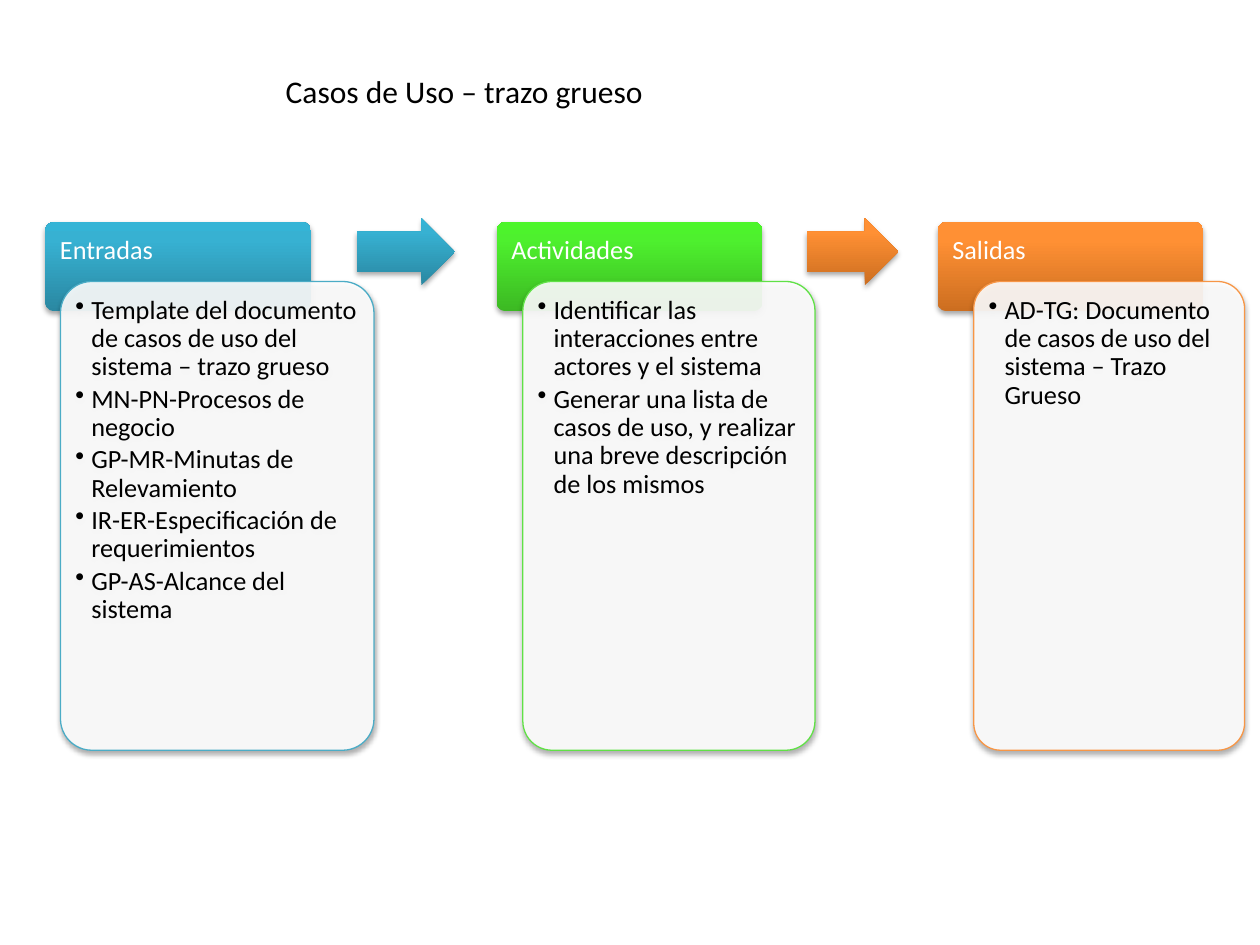
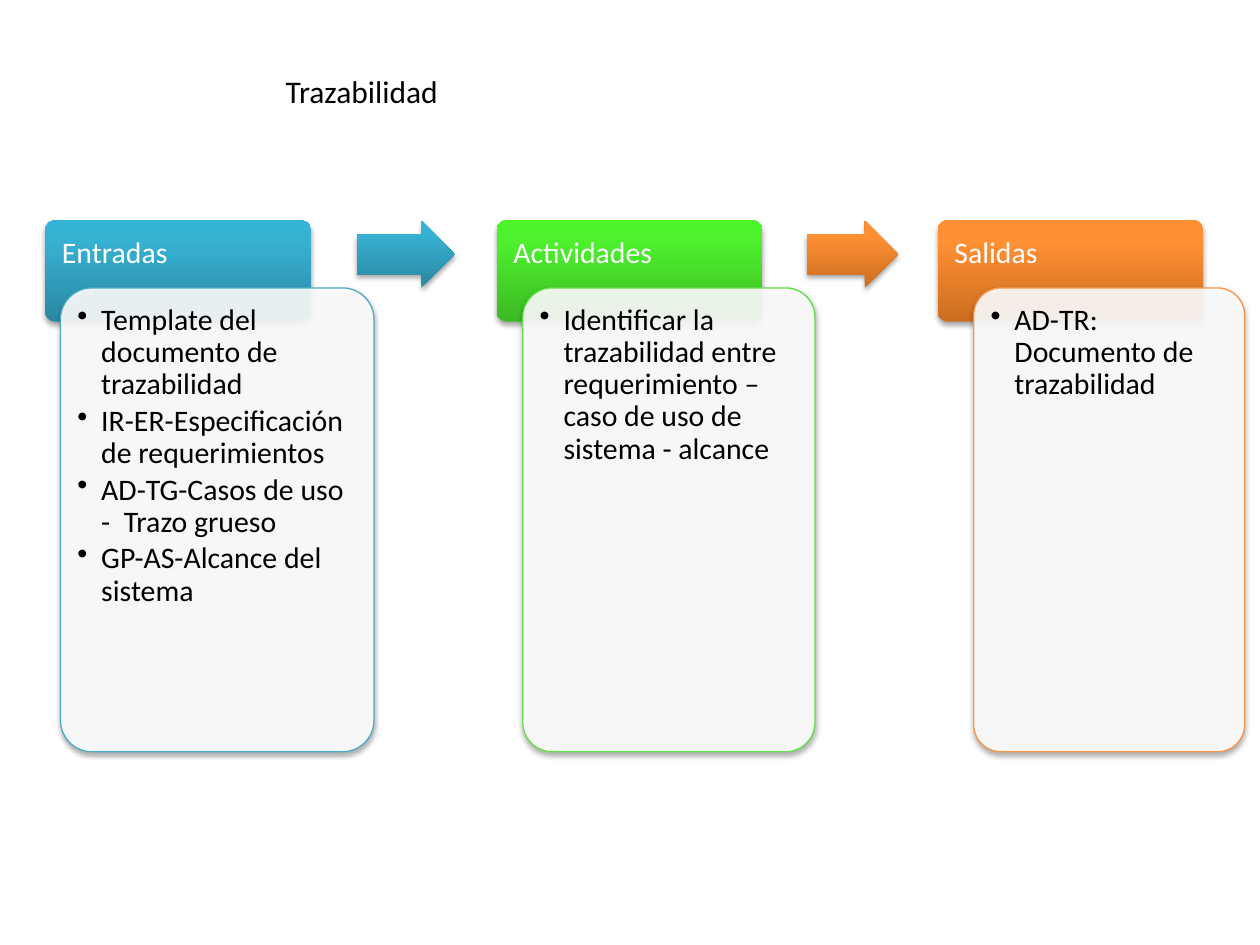
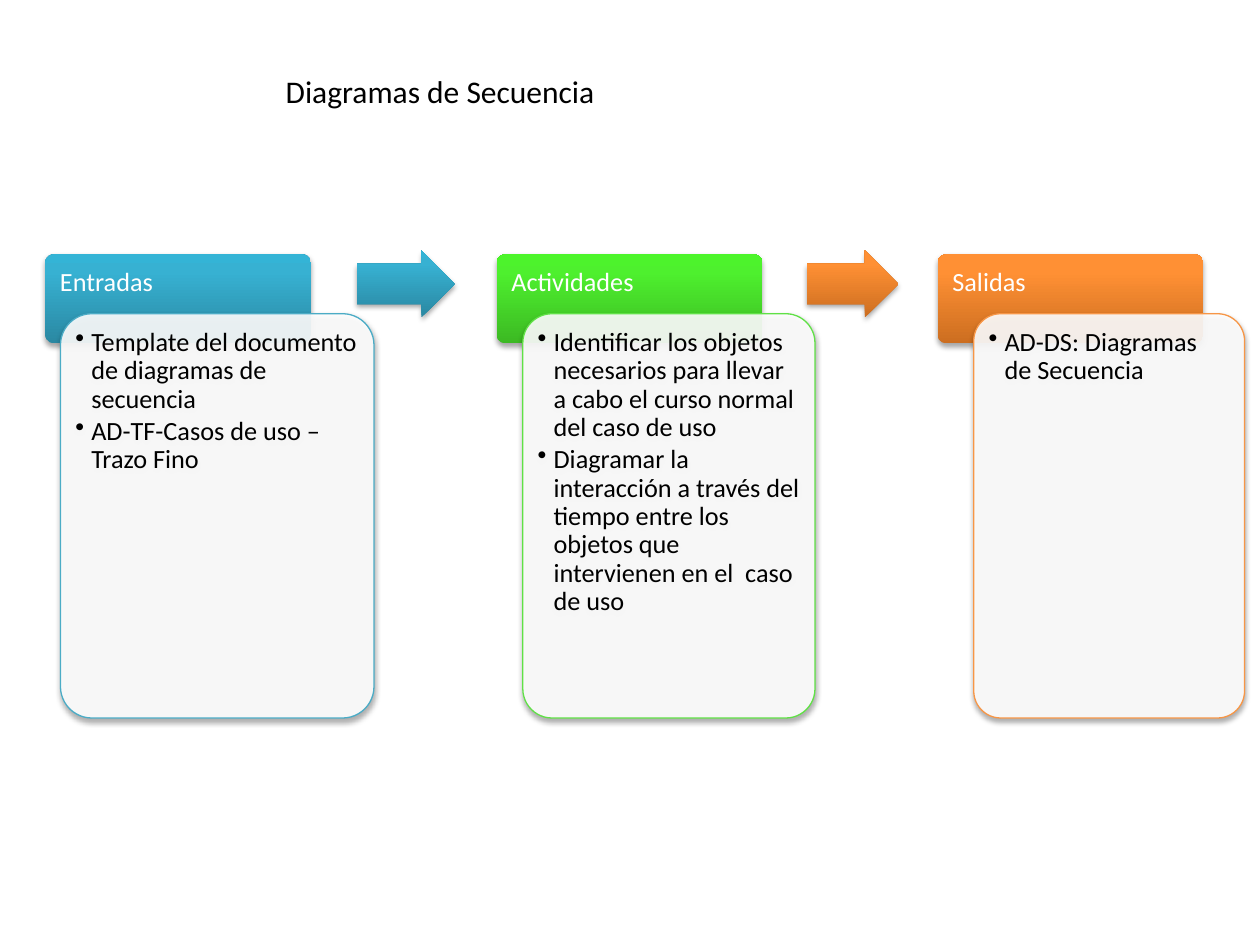
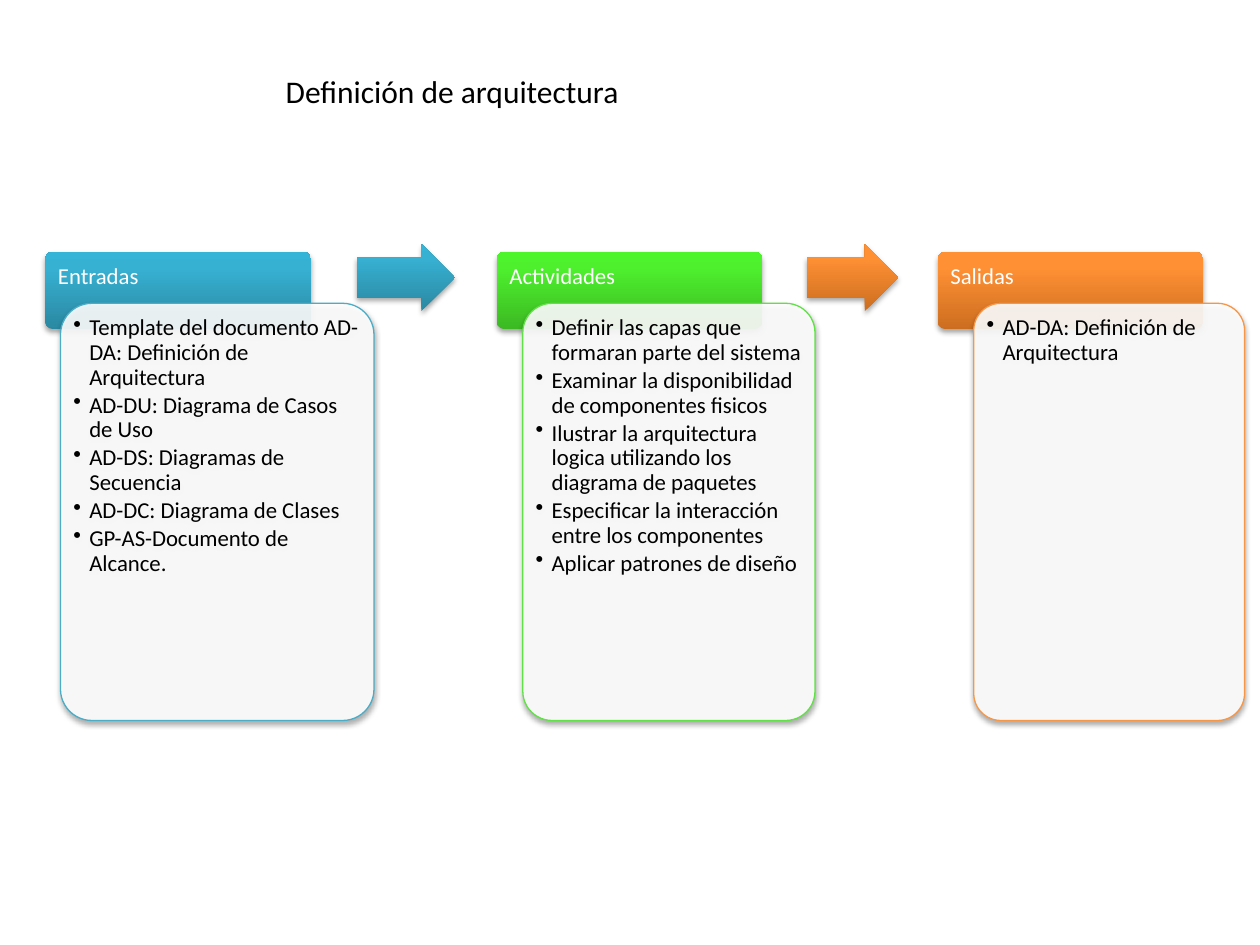
from copy import deepcopy

from lxml import etree
from pptx import Presentation
from pptx import util as u
from pptx.dml.color import RGBColor
from pptx.enum import shapes, text
from pptx.oxml.ns import qn

FONT = "Calibri"
COLORS = {"text": "000000", "heading": "FFFFFF", "panel": "FFFFFF", "shadow": "000000"}
STAGE_COLORS = {
    "Entradas": {"gradient": ("2A88A2", "37B1D2", "34B4D6"), "border": "4BACC6"},
    "Actividades": {"gradient": ("3CB923", "4EF02E", "4CF52A"), "border": "60E146"},
    "Salidas": {"gradient": ("CC6E20", "FF9034", "FF9136"), "border": "F79646"},
}
GRADIENT_POSITIONS = (0, 0.8, 1)

# Horizontal layout in cm: heading left, then (left, width) of panel and leading arrow
STAGE_LAYOUT = {
    "Entradas": {"heading": 0.91, "panel": (1.22, 6.32)},
    "Actividades": {"heading": 10.01, "panel": (10.54, 5.89)},
    "Salidas": {"heading": 18.9, "panel": (19.63, 5.46)},
}
# Each arrow follows a stage and wears the gradient of the named one
ARROWS = {"Entradas": (7.19, 1.98, "Entradas"), "Actividades": (16.26, 1.85, "Salidas")}
HEADING_WIDTH = 5.36
ARROW_HEIGHT = 1.35
DIAGRAM_MIDDLE = 9.8
CORNER = 0.1

PROCESSES = [
    {
        "title": "Casos de Uso – trazo grueso", "size": 15, "panel_height": 9.45, "indent": 0.32,
        "Entradas": [
            "Template del documento de casos de uso del sistema – trazo grueso",
            "MN-PN-Procesos de negocio",
            "GP-MR-Minutas de Relevamiento",
            "IR-ER-Especificación de requerimientos",
            "GP-AS-Alcance del sistema",
        ],
        "Actividades": [
            "Identificar las interacciones entre actores y el sistema",
            "Generar una lista de casos de uso, y realizar una breve descripción de los mismos",
        ],
        "Salidas": ["AD-TG: Documento de casos de uso del sistema – Trazo Grueso"],
    },
    {
        "title": "Trazabilidad", "size": 17, "panel_height": 9.35, "indent": 0.48,
        "Entradas": [
            "Template del documento de trazabilidad",
            "IR-ER-Especificación de requerimientos",
            "AD-TG-Casos de uso -  Trazo grueso",
            "GP-AS-Alcance del sistema",
        ],
        "Actividades": [
            "Identificar la trazabilidad entre requerimiento – caso de uso de sistema - alcance",
        ],
        "Salidas": ["AD-TR: Documento de trazabilidad"],
    },
    {
        "title": "Diagramas de Secuencia", "size": 15, "panel_height": 8.15, "indent": 0.32,
        "Entradas": [
            "Template del documento de diagramas de secuencia",
            "AD-TF-Casos de uso – Trazo Fino",
        ],
        "Actividades": [
            "Identificar los objetos necesarios para llevar a cabo el curso normal del caso de uso",
            "Diagramar la interacción a través del tiempo entre los objetos que "
            "intervienen en el  caso de uso",
        ],
        "Salidas": ["AD-DS: Diagramas de Secuencia"],
    },
    {
        "title": "Definición de arquitectura", "size": 13, "panel_height": 8.41, "indent": 0.32,
        "Entradas": [
            "Template del documento AD-DA: Definición de Arquitectura",
            "AD-DU: Diagrama de Casos de Uso",
            "AD-DS: Diagramas de Secuencia",
            "AD-DC: Diagrama de Clases",
            "GP-AS-Documento de Alcance.",
        ],
        "Actividades": [
            "Definir las capas que formaran parte del sistema",
            "Examinar la disponibilidad de componentes fisicos",
            "Ilustrar la arquitectura logica utilizando los diagrama de paquetes",
            "Especificar la interacción entre los componentes",
            "Aplicar patrones de diseño",
        ],
        "Salidas": ["AD-DA: Definición de Arquitectura"],
    },
]


def write_text(frame, lines, size, color="text", spacing=None, after=0, indent=0, inset=None):
    """Write one paragraph per line; an indent makes them bulleted."""
    frame.word_wrap = True
    frame.vertical_anchor = text.MSO_ANCHOR.TOP
    if inset is not None:
        frame.margin_left = frame.margin_right = u.Cm(inset)
        frame.margin_top = frame.margin_bottom = u.Cm(inset)
    for number, line in enumerate(lines):
        paragraph = frame.add_paragraph() if number else frame.paragraphs[0]
        paragraph.alignment = text.PP_ALIGN.LEFT
        paragraph.line_spacing = spacing
        paragraph.space_after = u.Pt(after)
        run = paragraph.add_run()
        run.text = line
        run.font.name = FONT
        run.font.size = u.Pt(size)
        run.font.color.rgb = RGBColor.from_string(COLORS[color])
        if indent:
            properties = paragraph._p.get_or_add_pPr()
            properties.set("marL", str(u.Cm(indent)))
            properties.set("indent", str(-u.Cm(indent)))
            etree.SubElement(properties, qn("a:buChar"), char="•")


def fill_gradient(shape, colors):
    """Fill with a three-stop gradient that runs from bottom to top."""
    shape.fill.gradient()
    shape.fill.gradient_angle = 90
    stop_list = shape._element.spPr.find(".//" + qn("a:gsLst"))
    stop_list.append(deepcopy(stop_list[-1]))
    for stop, color, position in zip(shape.fill.gradient_stops, colors, GRADIENT_POSITIONS):
        stop.color.rgb = RGBColor.from_string(color)
        stop.position = position
    shape.line.fill.background()


def fill_panel(shape, border):
    """Fill with slightly transparent white inside a thin border."""
    shape.fill.solid()
    shape.fill.fore_color.rgb = RGBColor.from_string(COLORS["panel"])
    white = shape._element.spPr.find(qn("a:solidFill"))[0]
    etree.SubElement(white, qn("a:alpha"), val="90000")
    shape.line.color.rgb = RGBColor.from_string(border)
    shape.line.width = u.Pt(0.75)


def add_shadowed(slide, kind, left, top, width, height, adjustments):
    """Add a preset shape, placed in cm, with a soft shadow below it."""
    shape = slide.shapes.add_shape(kind, u.Cm(left), u.Cm(top), u.Cm(width), u.Cm(height))
    for index, value in enumerate(adjustments):
        shape.adjustments[index] = value
    shape.shadow.inherit = False
    effects = shape._element.spPr.find(qn("a:effectLst"))
    shadow = etree.SubElement(effects, qn("a:outerShdw"), blurRad=str(u.Pt(3.1)),
                              dist=str(u.Pt(1.8)), dir="5400000", rotWithShape="0")
    color = etree.SubElement(shadow, qn("a:srgbClr"), val=COLORS["shadow"])
    etree.SubElement(color, qn("a:alpha"), val="35000")
    return shape


def add_card(slide, left, top, width, height, lines, size, **style):
    """Add a rounded card whose text keeps an even distance from its edges."""
    card = add_shadowed(slide, shapes.MSO_SHAPE.ROUNDED_RECTANGLE,
                        left, top, width, height, [CORNER])
    # The rounded corners already push the text in by 0.29 of their radius
    inset = 0.02 * size - 0.29 * CORNER * min(width, height)
    write_text(card.text_frame, lines, size, spacing=0.9, inset=inset, **style)
    return card


def add_title(slide, title):
    """Add the slide title."""
    box = slide.shapes.add_textbox(u.Cm(5.51), u.Cm(1.32), u.Cm(10.8), u.Cm(1.03))
    write_text(box.text_frame, [title], 18)


def add_process(slide, process):
    """Add the stages of a process, with arrows between them."""
    size, panel_height = process["size"], process["panel_height"]
    heading_height = 0.12 * size
    visible_heading = heading_height * 2 / 3
    top = DIAGRAM_MIDDLE - (visible_heading + panel_height) / 2
    for stage, layout in STAGE_LAYOUT.items():
        colors = STAGE_COLORS[stage]
        heading = add_card(slide, layout["heading"], top, HEADING_WIDTH, heading_height,
                           [stage], size, color="heading")
        fill_gradient(heading, colors["gradient"])
        left, width = layout["panel"]
        panel = add_card(slide, left, top + visible_heading, width, panel_height,
                         process[stage], size, after=0.15 * size, indent=process["indent"])
        fill_panel(panel, colors["border"])
        if stage in ARROWS:
            left, width, color_stage = ARROWS[stage]
            arrow = add_shadowed(slide, shapes.MSO_SHAPE.RIGHT_ARROW, left,
                                 top + (visible_heading - ARROW_HEIGHT) / 2,
                                 width, ARROW_HEIGHT, [0.6, 0.5])
            fill_gradient(arrow, STAGE_COLORS[color_stage]["gradient"])


def main():
    """Build one slide per process and save the presentation."""
    deck = Presentation()
    deck.slide_width, deck.slide_height = u.Cm(25.4), u.Cm(19.05)
    for process in PROCESSES:
        slide = deck.slides.add_slide(deck.slide_layouts[6])
        add_process(slide, process)
        add_title(slide, process["title"])
    deck.save("out.pptx")


main()
